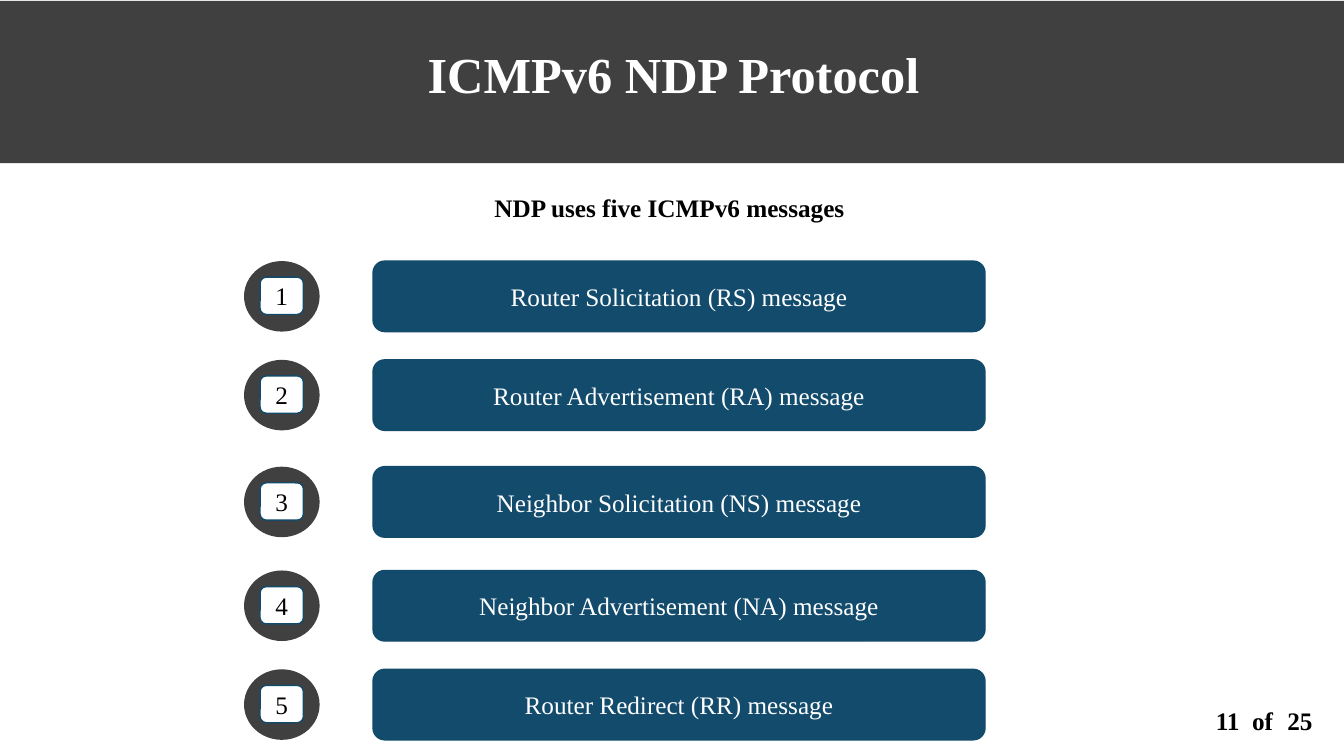
from dataclasses import dataclass

from lxml.etree import SubElement
from pptx import Presentation
from pptx.dml.color import RGBColor
from pptx.enum.shapes import MSO_SHAPE
from pptx.enum.text import MSO_ANCHOR, MSO_AUTO_SIZE, PP_ALIGN
from pptx.oxml.ns import qn
from pptx.util import Inches, Pt


@dataclass(frozen=True)
class Theme:
    font: str = "Times New Roman"
    title_size: int = 36
    text_size: int = 18
    dark: str = "404040"
    blue: str = "134B6D"
    outline: str = "124A6B"
    white: str = "FFFFFF"
    black: str = "000000"


THEME = Theme()
ROUNDED = MSO_SHAPE.FLOWCHART_ALTERNATE_PROCESS
MESSAGES = [
    (2.59, "Router Solicitation (RS) message"),
    (3.57, "Router Advertisement (RA) message"),
    (4.63, "Neighbor Solicitation (NS) message"),
    (5.66, "Neighbor Advertisement (NA) message"),
    (6.64, "Router Redirect (RR) message"),
]


def add_box(shapes, kind, box, fill=None, line=None):
    shape = shapes.add_shape(kind, *map(Inches, box))
    shape.shadow.inherit = False
    if fill:
        shape.fill.solid()
        shape.fill.fore_color.rgb = RGBColor.from_string(fill)
    else:
        shape.fill.background()
    if line:
        shape.line.color.rgb = RGBColor.from_string(line)
        shape.line.width = Pt(1)
    else:
        shape.line.fill.background()
    return shape


def write(shape, text, color, size=THEME.text_size, bold=False,
          align=PP_ALIGN.CENTER, anchor=MSO_ANCHOR.MIDDLE, **frame_format):
    """Fill the shape with one formatted paragraph and return it."""
    frame = shape.text_frame
    frame_values = {"word_wrap": True, "auto_size": MSO_AUTO_SIZE.NONE,
                    "vertical_anchor": anchor, **frame_format}
    for name, value in frame_values.items():
        setattr(frame, name, value)
    para = frame.paragraphs[0]
    para.alignment = align
    span = para.add_run()
    span.text = text
    for name, value in {"name": THEME.font, "size": Pt(size), "bold": bold}.items():
        setattr(span.font, name, value)
    span.font.color.rgb = RGBColor.from_string(color)
    return para


def add_header(page, left, top, width, height):
    band = add_box(page.shapes, MSO_SHAPE.RECTANGLE, (left, top, width, height), THEME.dark)
    title = page.shapes.title
    title.element.addprevious(band.element)
    place = {"left": left + 0.35, "top": top + 0.36, "width": 12.66, "height": 0.79}
    for name, value in place.items():
        setattr(title, name, Inches(value))
    para = write(title, "ICMPv6 NDP Protocol", THEME.white, THEME.title_size, bold=True)
    para.line_spacing = 0.9


def add_subtitle(page, *box):
    subtitle = add_box(page.shapes, ROUNDED, box)
    write(subtitle, "NDP uses five ICMPv6 messages", THEME.black, bold=True)


def add_message(page, number, text, left, top, width, height):
    """Place a numbered badge and its message bar side by side."""
    bar_left = left + 1.28
    bar = add_box(page.shapes, ROUNDED, (bar_left, top, width - 1.28, height),
                  THEME.blue, THEME.outline)
    write(bar, text, THEME.white)
    badge = page.shapes.add_group_shape()
    add_box(badge.shapes, MSO_SHAPE.OVAL, (left, top, 0.75, height), THEME.dark)
    label = add_box(badge.shapes, ROUNDED, (left + 0.16, top + 0.16, 0.43, 0.37),
                    THEME.white, THEME.outline)
    write(label, str(number), THEME.black, margin_left=0, margin_right=0,
          margin_top=0, margin_bottom=0)


def add_page_count(page, left, top):
    counter = page.shapes.add_group_shape()
    for text, offset, width in (("25", 0.71, 0.59), ("11\tof", 0, 0.91)):
        box = counter.shapes.add_textbox(*map(Inches, (left + offset, top, width, 0.47)))
        para = write(box, text, THEME.black, bold=True,
                     align=PP_ALIGN.LEFT, anchor=MSO_ANCHOR.TOP)
        if "\t" in text:
            tabs = SubElement(para._p.get_or_add_pPr(), qn("a:tabLst"))
            SubElement(tabs, qn("a:tab"), pos=str(Inches(0.36)), algn="l")


def main():
    deck = Presentation()
    deck.slide_width, deck.slide_height = Inches(13.33), Inches(7.5)
    page = deck.slides.add_slide(deck.slide_layouts[5])
    add_header(page, 0, 0.01, 13.33, 1.61)
    add_subtitle(page, 0.35, 1.71, 12.58, 0.7)
    for number, (top, text) in enumerate(MESSAGES, start=1):
        add_message(page, number, text, 2.42, top, 7.35, 0.7)
    add_page_count(page, 11.96, 6.95)
    deck.save("out.pptx")


if __name__ == "__main__":
    main()
